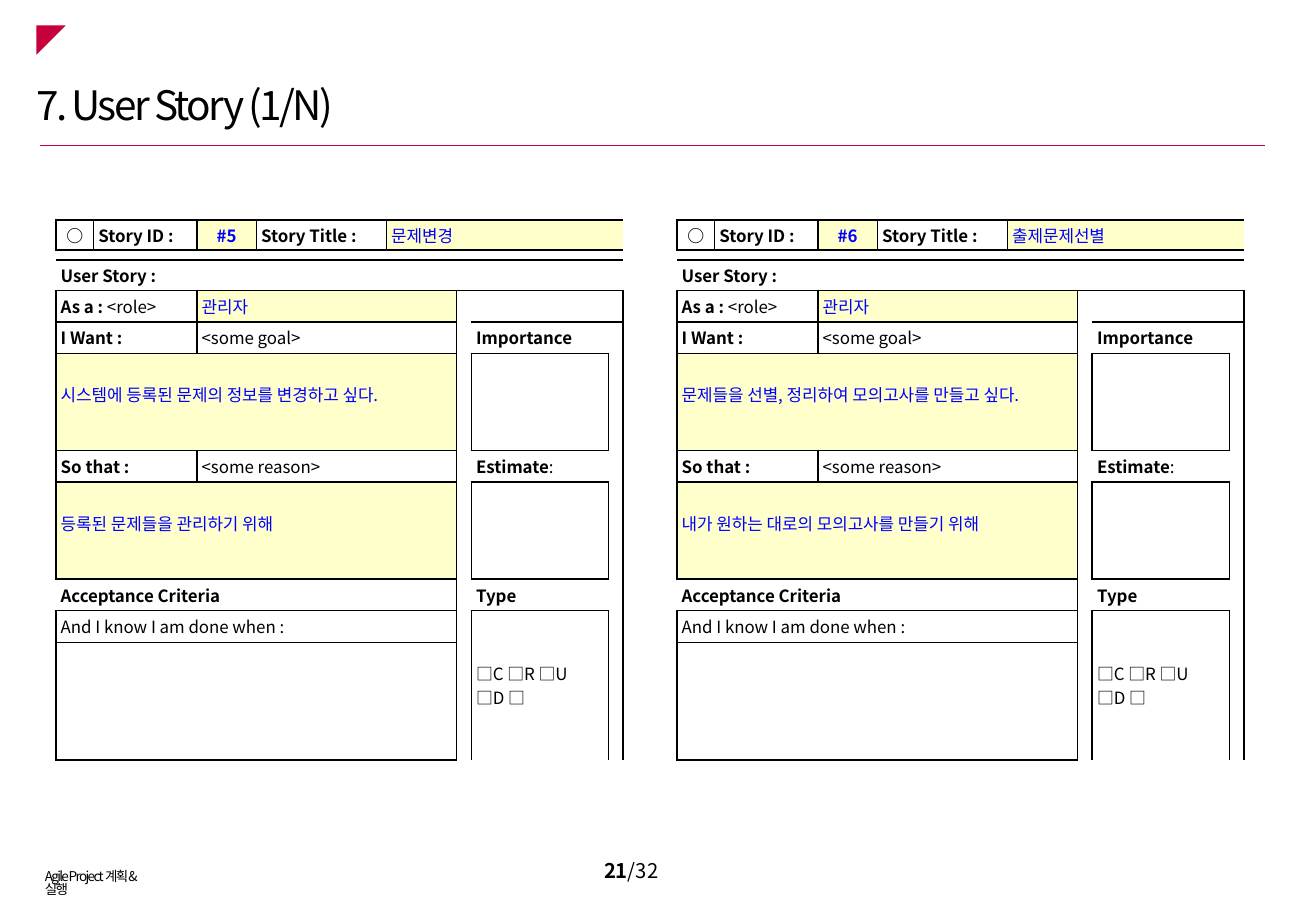
import pptx
import pptx.util
import pptx.dml.color
import pptx.enum.shapes
import pptx.enum.text
import pptx.oxml.ns
from lxml import etree

Inches, Pt = pptx.util.Inches, pptx.util.Pt
RGB = pptx.dml.color.RGBColor.from_string
qn = pptx.oxml.ns.qn
ALIGN = pptx.enum.text.PP_ALIGN
ANCHOR = pptx.enum.text.MSO_ANCHOR

COLORS = {"accent": "C5003D", "ink": "000000", "answer": "0000FF", "entry": "FFFFCC"}
FONT = "Noto Sans CJK KR"
NO_GRID_STYLE = "{2D5ABB26-0587-4C30-8999-92F81FD0307C}"


def add_run(paragraph, text, size, bold=False, color="ink", spacing=0):
    run = paragraph.add_run()
    run.text = text
    run.font.size = Pt(size)
    run.font.bold = bold
    run.font.name = FONT
    run.font.color.rgb = RGB(COLORS[color])
    properties = run.font._element
    etree.SubElement(properties, qn("a:ea"), typeface=FONT)
    if spacing:
        properties.set("spc", str(int(spacing * 100)))


def add_borders(cell, sides):
    properties = cell._tc.get_or_add_tcPr()
    for side in "LRTB":
        if side in sides:
            line = etree.SubElement(properties, qn("a:ln" + side), w=str(Pt(1)))
            fill = etree.SubElement(line, qn("a:solidFill"))
            etree.SubElement(fill, qn("a:srgbClr"), val=COLORS["ink"])


prs = pptx.Presentation()
prs.slide_width, prs.slide_height = Inches(10.83), Inches(7.5)
slide = prs.slides.add_slide(prs.slide_layouts[6])

# Footer
footer = slide.shapes.add_textbox(Inches(0.27), Inches(7.12), Inches(1.12), Inches(0.24)).text_frame
footer.word_wrap = True
footer.paragraphs[0].line_spacing = 0.8
add_run(footer.paragraphs[0], "Agile Project 계획&실행", 8, spacing=-1)

page = slide.shapes.add_textbox(Inches(4.58), Inches(6.98), Inches(1.23), Inches(0.37)).text_frame
page.word_wrap = True
page.vertical_anchor = ANCHOR.MIDDLE
page.paragraphs[0].alignment = ALIGN.CENTER
add_run(page.paragraphs[0], "21", 12, bold=True)
add_run(page.paragraphs[0], "/32", 12)

# Heading with corner mark and rule
rule = slide.shapes.add_connector(pptx.enum.shapes.MSO_CONNECTOR.STRAIGHT,
                                  Inches(0.33), Inches(1.2), Inches(10.41), Inches(1.2))
rule.line.color.rgb = RGB(COLORS["accent"])
rule.line.width = Pt(0.75)
etree.SubElement(rule._element.spPr, qn("a:effectLst"))

corner = slide.shapes.add_shape(pptx.enum.shapes.MSO_SHAPE.ISOSCELES_TRIANGLE,
                                Inches(0.3), Inches(0.21), Inches(0.24), Inches(0.24))
corner.adjustments[0] = 1
corner.rotation = 180
corner.shadow.inherit = False
corner.fill.solid()
corner.fill.fore_color.rgb = RGB(COLORS["accent"])
corner.line.fill.background()

title = slide.shapes.add_textbox(Inches(0.2), Inches(0.66), Inches(5.05), Inches(0.5)).text_frame
title.word_wrap = True
title.margin_top = title.margin_bottom = 0
add_run(title.paragraphs[0], "7. User Story (1/N)", 24, spacing=-1.5)

# Story cards
column_widths = [0.31, 0.85, 0.49, 1.07, 0.58, 0.11, 1.13, 0.11]
row_heights = [0.25, 0.08, 0.25, 0.26, 0.26, 0.26, 0.54, 0.26, 0.26, 0.54, 0.26, 0.26, 0.97]
stories = [
    (0.46, "#5", "문제변경", "시스템에 등록된 문제의 정보를 변경하고 싶다.", "등록된 문제들을 관리하기 위해"),
    (5.57, "#6", "출제문제선별", "문제들을 선별, 정리하여 모의고사를 만들고 싶다.", "내가 원하는 대로의 모의고사를 만들기 위해"),
]

for left, story_id, story_title, goal, reason in stories:
    # row, column, row span, column span, borders, paragraphs of (text, bold, color)
    parts = [
        (0, 0, 1, 1, "LRTB", [[("○", True, "ink")]]),
        (0, 1, 1, 1, "LRTB", [[("Story ID :", True, "ink")]]),
        (0, 2, 1, 1, "LRTB", [[(story_id, True, "answer")]]),
        (0, 3, 1, 1, "LRTB", [[("Story Title :", True, "ink")]]),
        (0, 4, 1, 4, "LRTB", [[(story_title, False, "answer")]]),
        (1, 0, 1, 8, "T", []),
        (2, 0, 1, 2, "B", [[("User Story :", True, "ink")]]),
        (2, 2, 1, 6, "B", []),
        (3, 0, 1, 2, "LRTB", [[("As a : ", True, "ink"), ("<role>", False, "ink")]]),
        (3, 2, 1, 3, "LRTB", [[("관리자", False, "answer")]]),
        (3, 5, 10, 1, "LTB", []),
        (3, 6, 1, 1, "T", []),
        (3, 7, 1, 1, "TR", []),
        (4, 0, 1, 2, "LRTB", [[("I Want :", True, "ink")]]),
        (4, 2, 1, 3, "LRTB", [[("<some goal>", False, "ink")]]),
        (4, 6, 1, 1, "B", [[("Importance", True, "ink")]]),
        (5, 0, 2, 5, "LRTB", [[(goal, False, "answer")]]),
        (5, 6, 2, 1, "LRTB", []),
        (7, 0, 1, 2, "LRTB", [[("So that :", True, "ink")]]),
        (7, 2, 1, 3, "LRTB", [[("<some reason>", False, "ink")]]),
        (7, 6, 1, 1, "TB", [[("Estimate", True, "ink"), (":", False, "ink")]]),
        (8, 0, 2, 5, "LRTB", [[(reason, False, "answer")]]),
        (8, 6, 2, 1, "LRTB", []),
        (10, 0, 1, 5, "TB", [[("Acceptance Criteria", True, "ink")]]),
        (10, 6, 1, 1, "TB", [[("Type", True, "ink")]]),
        (11, 0, 1, 5, "LRTB", [[("And I know I am done when :", False, "ink")]]),
        (11, 6, 2, 1, "LRTB", [[("□C □R □U", False, "ink")], [("□D □", False, "ink")]]),
        (12, 0, 1, 5, "LRTB", []),
    ]
    for row in range(4, 13):
        parts.append((row, 7, 1, 1, "R" if row in (4, 7, 10) else "LR", []))

    card = slide.shapes.add_table(len(row_heights), len(column_widths), Inches(left), Inches(1.81),
                                  Inches(sum(column_widths)), Inches(sum(row_heights))).table
    card.first_row = card.horz_banding = False
    card._tbl.tblPr.find(qn("a:tableStyleId")).text = NO_GRID_STYLE
    for column, width in zip(card.columns, column_widths):
        column.width = Inches(width)
    for row, height in zip(card.rows, row_heights):
        row.height = Inches(height)

    for row, col, row_span, col_span, borders, paragraphs in parts:
        cell = card.cell(row, col)
        last_row, last_col = row + row_span - 1, col + col_span - 1
        if row_span * col_span > 1:
            cell.merge(card.cell(last_row, last_col))
        for r in range(row, last_row + 1):
            for c in range(col, last_col + 1):
                on_edge = {"L": c == col, "R": c == last_col, "T": r == row, "B": r == last_row}
                add_borders(card.cell(r, c), [side for side in borders if on_edge[side]])

        cell.vertical_anchor = ANCHOR.MIDDLE
        cell.margin_left = cell.margin_right = Inches(0.04)
        cell.margin_top = cell.margin_bottom = Inches(0.02)
        if paragraphs and row in (5, 8):
            cell.vertical_anchor = ANCHOR.TOP
            cell.margin_top = Inches(0.24)
        for index, runs in enumerate(paragraphs):
            frame = cell.text_frame
            paragraph = frame.add_paragraph() if index else frame.paragraphs[0]
            if row == 0 and col in (0, 2):
                paragraph.alignment = ALIGN.CENTER
            for text, bold, color in runs:
                add_run(paragraph, text, 10, bold, color)
        if paragraphs and paragraphs[0][0][2] == "answer":
            cell.fill.solid()
            cell.fill.fore_color.rgb = RGB(COLORS["entry"])
        else:
            cell.fill.background()

    # Empty cells must not stretch their rows
    for cell in card.iter_cells():
        if not cell.text_frame.text:
            cell.margin_top = cell.margin_bottom = 0
            etree.SubElement(cell.text_frame.paragraphs[0]._p, qn("a:endParaRPr"), sz="100")

prs.save("out.pptx")
